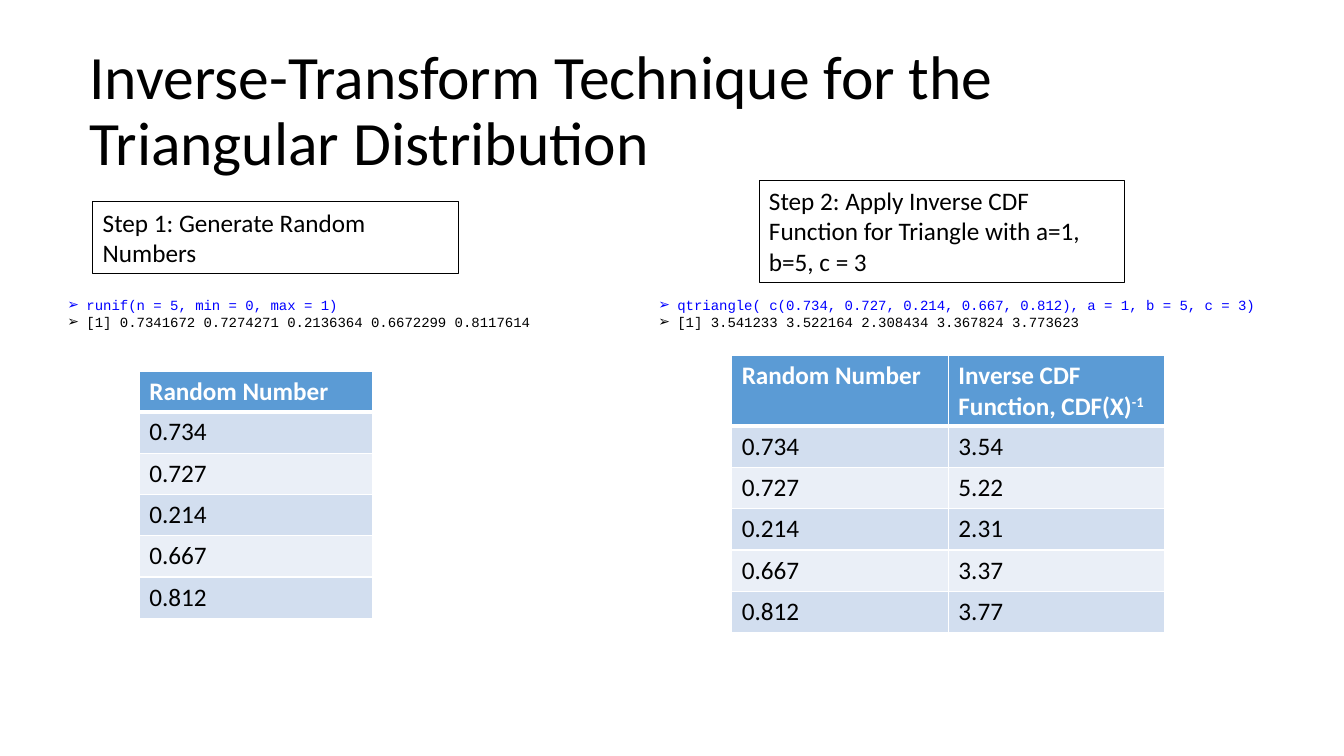
from dataclasses import dataclass

from lxml.etree import SubElement
from pptx import Presentation
from pptx.dml.color import RGBColor as RGB
from pptx.enum.shapes import MSO_SHAPE as Shape
from pptx.enum.text import MSO_ANCHOR as Anchor, MSO_AUTO_SIZE as AutoSize, PP_ALIGN as Align
from pptx.oxml import parse_xml
from pptx.oxml.ns import nsdecls, qn
from pptx.util import Cm, Pt

# Content; positions are left, top, width, height in centimetres
TITLE = "Inverse-Transform Technique for the Triangular Distribution"
TITLE_AT = (2, 1, 29.21, 3.68)
STEPS = [
    ("Step 1: Generate Random Numbers", (2.34, 5.09, 9.22, 1.8)),
    ("Step 2: Apply Inverse CDF Function for Triangle with a=1, b=5, c = 3",
     (19.13, 4.55, 9.22, 2.57)),
]
CONSOLES = [
    {"call": "runif(n = 5, min = 0, max = 1)",
     "result": "[1] 0.7341672 0.7274271 0.2136364 0.6672299 0.8117614",
     "at": (1.7, 7.47, 19.69, 0.86), "wrap": True},
    {"call": "qtriangle( c(0.734, 0.727, 0.214, 0.667, 0.812), a = 1, b = 5, c = 3)",
     "result": "[1] 3.541233 3.522164 2.308434 3.367824 3.773623",
     "at": (16.59, 7.47, 15.39, 0.86), "wrap": False},
]
RANDOM_NUMBERS = ["0.734", "0.727", "0.214", "0.667", "0.812"]
INVERSE_VALUES = ["3.54", "5.22", "2.31", "3.37", "3.77"]
# A heading is its text and its superscript
RANDOM_HEADING = ("Random Number", "")
INVERSE_HEADING = ("Inverse CDF Function, CDF(X)", "-1")
TABLES = [
    {"columns": [(RANDOM_HEADING, RANDOM_NUMBERS)],
     "left": 3.51, "top": 9.35, "column_width": 5.88, "header_height": 1.03},
    {"columns": [(RANDOM_HEADING, RANDOM_NUMBERS), (INVERSE_HEADING, INVERSE_VALUES)],
     "left": 18.44, "top": 8.96, "column_width": 5.46, "header_height": 1.78},
]
ROW_HEIGHT = 1.04
BULLET, BULLET_INDENT = "➢", Cm(0.48)


@dataclass(frozen=True)
class Theme:
    black: str = "000000"
    white: str = "FFFFFF"
    code: str = "0000FF"
    header: str = "5B9BD5"
    bands: tuple = ("D2DEEF", "EAEFF7")
    body_font: str = "Calibri"
    code_font: str = "Courier New"
    title_size: int = 44
    body_size: int = 18
    code_size: int = 10


THEME = Theme()


def place(shape, at):
    shape.left, shape.top, shape.width, shape.height = map(Cm, at)


def write(para, text, size=THEME.body_size, font=THEME.body_font,
          color=THEME.black, bold=False, raised=False):
    span = para.add_run()
    span.text = text
    span.font.size, span.font.name, span.font.bold = Pt(size), font, bold
    span.font.color.rgb = RGB.from_string(color)
    if raised:
        span.font._element.set("baseline", "30000")
    para.alignment = Align.LEFT


def add_box(page, at, fill=None, line=None, wrap=True, anchor=Anchor.TOP):
    box = page.shapes.add_shape(Shape.RECTANGLE, *map(Cm, at))
    box.shadow.inherit = False
    if fill:
        box.fill.solid()
        box.fill.fore_color.rgb = RGB.from_string(fill)
    else:
        box.fill.background()
    if line:
        box.line.color.rgb = RGB.from_string(line)
        box.line.width = Pt(0.75)
    else:
        box.line.fill.background()
    frame = box.text_frame
    frame.word_wrap, frame.vertical_anchor = wrap, anchor
    frame.auto_size = AutoSize.SHAPE_TO_FIT_TEXT
    return frame


def add_bullet(para):
    props = para._p.get_or_add_pPr()
    props.set("marL", str(BULLET_INDENT))
    props.set("indent", str(-BULLET_INDENT))
    SubElement(props, qn("a:buFont")).set("typeface", "Wingdings")
    props[-1].set("typeface", "Arial")
    SubElement(props, qn("a:buChar")).set("char", BULLET)


def style_cell(cell, fill, top=1, bottom=1):
    cell.fill.solid()
    cell.fill.fore_color.rgb = RGB.from_string(fill)
    props = cell._tc.get_or_add_tcPr()
    widths = {"lnL": 1, "lnR": 1, "lnT": top, "lnB": bottom}
    for position, (side, width) in enumerate(widths.items()):
        props.insert(position, parse_xml(
            f'<a:{side} {nsdecls("a")} w="{Pt(width)}"><a:solidFill>'
            f'<a:srgbClr val="{THEME.white}"/></a:solidFill></a:{side}>'))


def add_number_table(page, columns, left, top, column_width, header_height):
    row_count = len(columns[0][1]) + 1
    height = header_height + ROW_HEIGHT * (row_count - 1)
    table = page.shapes.add_table(
        row_count, len(columns), Cm(left), Cm(top),
        Cm(column_width * len(columns)), Cm(height)).table
    for index, row in enumerate(table.rows):
        row.height = Cm(ROW_HEIGHT if index else header_height)
    for column, ((heading, superscript), values) in enumerate(columns):
        table.columns[column].width = Cm(column_width)
        cell = table.cell(0, column)
        style_cell(cell, THEME.header, bottom=3)
        para = cell.text_frame.paragraphs[0]
        write(para, heading, color=THEME.white, bold=True)
        if superscript:
            write(para, superscript, color=THEME.white, bold=True, raised=True)
        for index, value in enumerate(values):
            cell = table.cell(index + 1, column)
            style_cell(cell, THEME.bands[index % 2], top=1 if index else 3)
            write(cell.text_frame.paragraphs[0], value)


def add_step(page, text, at):
    write(add_box(page, at, line=THEME.black).paragraphs[0], text)


def add_console(page, call, result, at, wrap):
    frame = add_box(page, at, fill=THEME.white, wrap=wrap, anchor=Anchor.MIDDLE)
    frame.margin_left = frame.margin_right = frame.margin_top = frame.margin_bottom = 0
    lines = [(frame.paragraphs[0], call, THEME.code),
             (frame.add_paragraph(), result, THEME.black)]
    for para, text, color in lines:
        write(para, text, size=THEME.code_size, font=THEME.code_font, color=color)
        add_bullet(para)


def main():
    deck = Presentation()
    deck.slide_width, deck.slide_height = Cm(33.87), Cm(19.05)
    page = deck.slides.add_slide(deck.slide_layouts[5])

    # Title
    title = page.shapes.title
    place(title, TITLE_AT)
    frame = title.text_frame
    frame.word_wrap, frame.vertical_anchor = True, Anchor.MIDDLE
    frame.auto_size = AutoSize.NONE
    para = frame.paragraphs[0]
    para.line_spacing = 0.9
    write(para, TITLE, size=THEME.title_size)

    # Steps, each with its console output and table
    for (text, at), console, table in zip(STEPS, CONSOLES, TABLES):
        add_number_table(page, **table)
        add_step(page, text, at)
        add_console(page, **console)

    deck.save("out.pptx")


if __name__ == "__main__":
    main()
